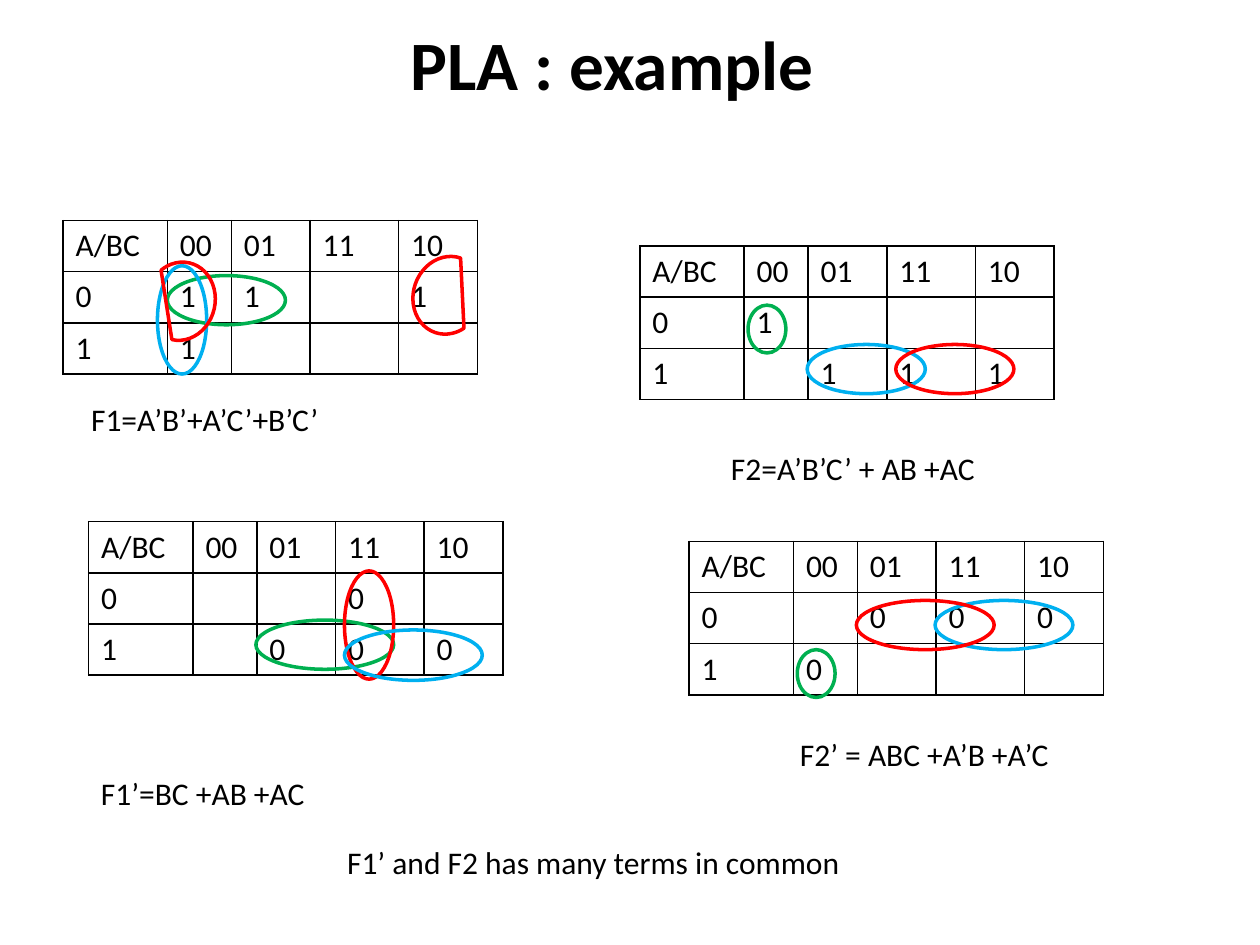
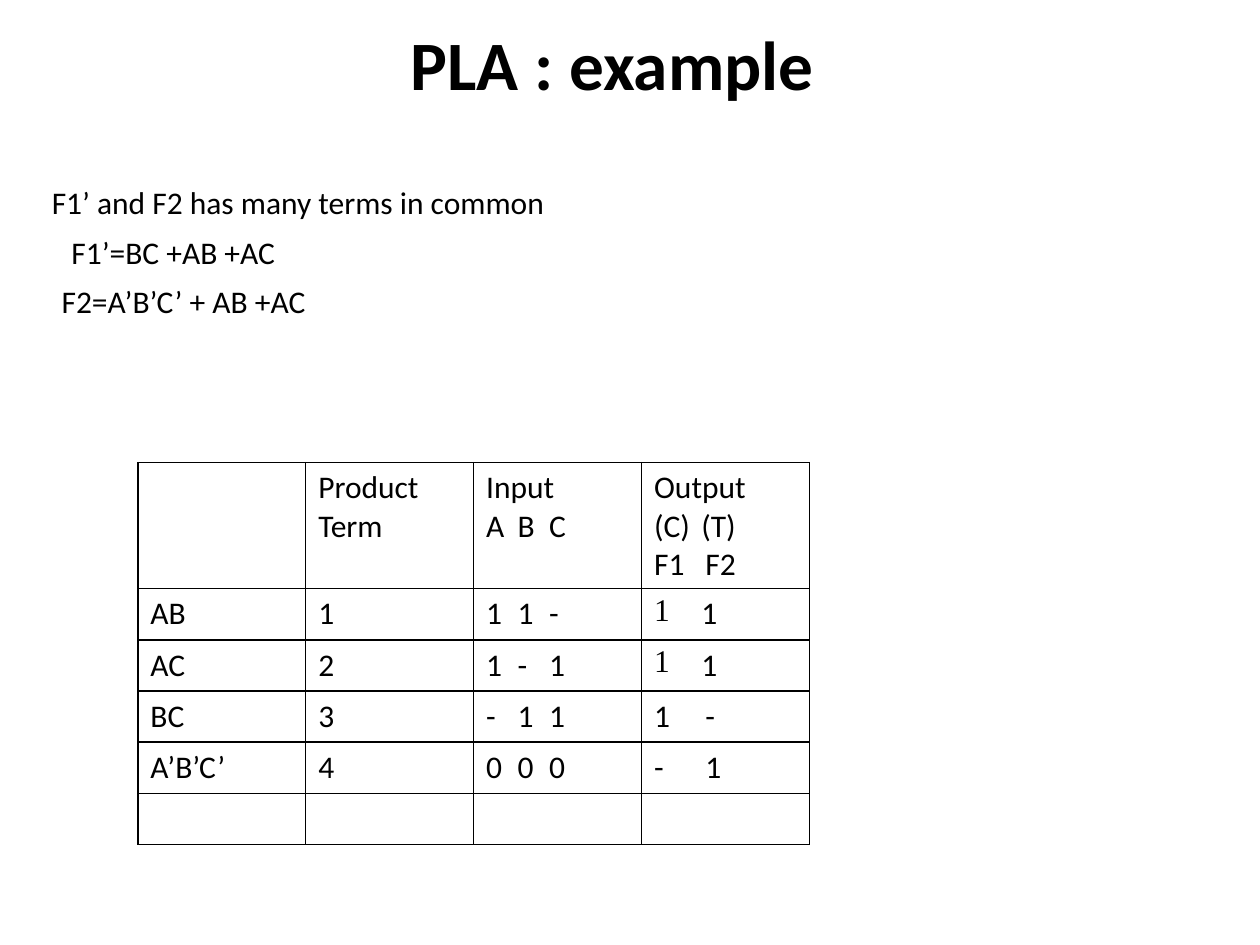
import pptx
import pptx.dml.color
import pptx.enum.shapes
import pptx.enum.text
import pptx.oxml
import pptx.oxml.ns
import pptx.util

RGB = pptx.dml.color.RGBColor
BLACK = RGB(0x00, 0x00, 0x00)
RED = RGB(0xFF, 0x00, 0x00)
GREEN = RGB(0x00, 0xB0, 0x50)
BLUE = RGB(0x00, 0xB0, 0xF0)

KIND = pptx.enum.shapes.MSO_SHAPE
ALIGN = pptx.enum.text.PP_ALIGN
MID = pptx.enum.text.MSO_ANCHOR.MIDDLE
Pt = pptx.util.Pt

# Grid: 128 columns by 96 rows of square units
WIDE, HIGH = pptx.util.Inches(10), pptx.util.Inches(7.5)
UNIT = WIDE // 128
ROW = 5.2
LINE = 5.12

BODY = {"name": "Calibri", "size": Pt(18), "bold": False}
HEAD = {"name": "Calibri", "size": Pt(39.6), "bold": True}

MAP_COLS = (10.6, 6.5, 8, 9, 8)
COMMON = "F1’ and F2 has many terms in common"
F1_NOT = "F1’=BC +AB +AC"
F2 = "F2=A’B’C’ + AB +AC"

# Bullets that open a cell's line
ONE = '<a:buChar %s char="1"/>'
FROM_C = '<a:buAutoNum %s type="alphaUcParenBoth" startAt="3"/>'
HANG = 4.8


def grid(*cells):
    return [round(cell * UNIT) for cell in cells]


def node(xml):
    return pptx.oxml.parse_xml(xml % pptx.oxml.ns.nsdecls("a"))


def style(para, look):
    for name, value in look.items():
        setattr(para.font, name, value)
    para.font.color.rgb = BLACK


def text(slide, left, top, width, words, look=BODY, align=ALIGN.LEFT):
    box = slide.shapes.add_textbox(*grid(left, top, width, LINE))
    frame = box.text_frame
    frame.word_wrap = True
    frame.vertical_anchor = MID
    para = frame.paragraphs[0]
    para.text = words
    para.alignment = align
    style(para, look)


def loop(slide, left, top, width, height, color, kind=KIND.OVAL, turn=0):
    shape = slide.shapes.add_shape(kind, *grid(left, top, width, height))
    shape.shadow.inherit = False
    shape.rotation = turn
    shape.fill.background()
    shape.line.color.rgb = color
    shape.line.width = Pt(2)


def border(cell):
    props = cell._tc.get_or_add_tcPr()
    for side in "LRTB":
        props.append(node(
            f'<a:ln{side} %s w="12700"><a:solidFill><a:srgbClr val="{BLACK}"/>'
            f'</a:solidFill></a:ln{side}>'))
    cell.fill.background()


def fill(cell, lines, stops):
    """Each line is a string, or a pair of bullet and string."""
    frame = cell.text_frame
    for num, line in enumerate(lines):
        mark, words = line if isinstance(line, tuple) else (None, line)
        para = frame.add_paragraph() if num else frame.paragraphs[0]
        para.text = words
        style(para, BODY)
        props = para._p.get_or_add_pPr()
        if mark:
            hang, = grid(HANG)
            props.set("marL", str(hang))
            props.set("indent", str(-hang))
            props.insert(0, node(mark))
        elif "\t" in words:
            tabs = "".join(f'<a:tab pos="{pos}" algn="l"/>' for pos in grid(*stops))
            props.insert(0, node(f"<a:tabLst %s>{tabs}</a:tabLst>"))


def table(slide, left, top, cols, rows, data, stops=None):
    frame = slide.shapes.add_table(len(rows), len(cols),
                                   *grid(left, top, sum(cols), sum(rows)))
    chart = frame.table
    chart.first_row = chart.horz_banding = False
    for col, width in zip(chart.columns, grid(*cols)):
        col.width = width
    for row, height in zip(chart.rows, grid(*rows)):
        row.height = height
    for r, line in enumerate(data):
        for c, item in enumerate(line):
            cell = chart.cell(r, c)
            border(cell)
            fill(cell, item if isinstance(item, list) else [item],
                 (stops or {}).get(c, ()))


def kmap(slide, left, top, *rows):
    """Karnaugh map; a dot stands for an empty cell."""
    data = [["A/BC", "00", "01", "11", "10"]]
    for num, row in enumerate(rows):
        data.append([str(num)] + [mark.replace(".", "") for mark in row])
    table(slide, left, top, MAP_COLS, [ROW] * 3, data)


def start(deck):
    slide = deck.slides.add_slide(deck.slide_layouts[6])
    text(slide, 6.4, 3.84, 111.6, "PLA : example", HEAD, ALIGN.CENTER)
    return slide


def maps(deck):
    slide = start(deck)
    # Four maps
    kmap(slide, 6.4, 22.4, "11.1", "1...")
    kmap(slide, 65, 25, "1...", ".111")
    kmap(slide, 9, 53, "..0.", ".000")
    kmap(slide, 70, 55, ".000", "0...")

    # Loops around grouped terms
    for spot in (
        (82, 35, 12, 5, BLUE), (91, 35, 12, 5, RED),
        (26, 63, 14, 5, GREEN), (17, 28, 12, 5, GREEN),
        (95, 61, 14, 5, BLUE), (87, 61, 14, 5, RED),
        (35, 58, 5, 11, RED), (35, 64, 14, 5.12, BLUE),
        (16, 27, 5, 11, BLUE),
        (42, 26, 7, 8, RED, KIND.CHORD, 18.9),
        (14.85, 26.6, 7, 8, RED, KIND.CHORD, 192.8),
        (76, 31, 3.84, 4.86, GREEN), (81, 66, 3.84, 4.86, GREEN),
    ):
        loop(slide, *spot)

    # Formulas
    for left, top, width, words in (
        (8, 40, 29, "F1=A’B’+A’C’+B’C’"),
        (9, 78, 29, F1_NOT),
        (73, 45, 29, F2),
        (80, 74, 29, "F2’ = ABC +A’B +A’C"),
        (34, 85, 61, COMMON),
    ):
        text(slide, left, top, width, words)


def terms(deck):
    slide = start(deck)
    # Formulas
    text(slide, 6, 23, 29, F1_NOT)
    text(slide, 5, 28, 29, F2)
    text(slide, 4, 18, 61, COMMON)

    # Program table
    data = [
        ["", "Product Term", ["Input", "A\tB\tC"],
         ["Output", (FROM_C, "(T)"), "F1\tF2"]],
        ["AB", "1", "1\t1\t-", [(ONE, "1")]],
        ["AC", "2", "1\t-\t1", [(ONE, "1")]],
        ["BC", "3", "-\t1\t1", "1\t-"],
        ["A’B’C’", "4", "0\t0\t0", "-\t1"],
        [""] * 4,
    ]
    table(slide, 14, 47, [17.06] * 4, [12.8] + [ROW] * 5, data,
          {2: (3.2, 6.4), 3: (5.2,)})


def main():
    deck = pptx.Presentation()
    deck.slide_width, deck.slide_height = WIDE, HIGH
    maps(deck)
    terms(deck)
    deck.save("out.pptx")


if __name__ == "__main__":
    main()
